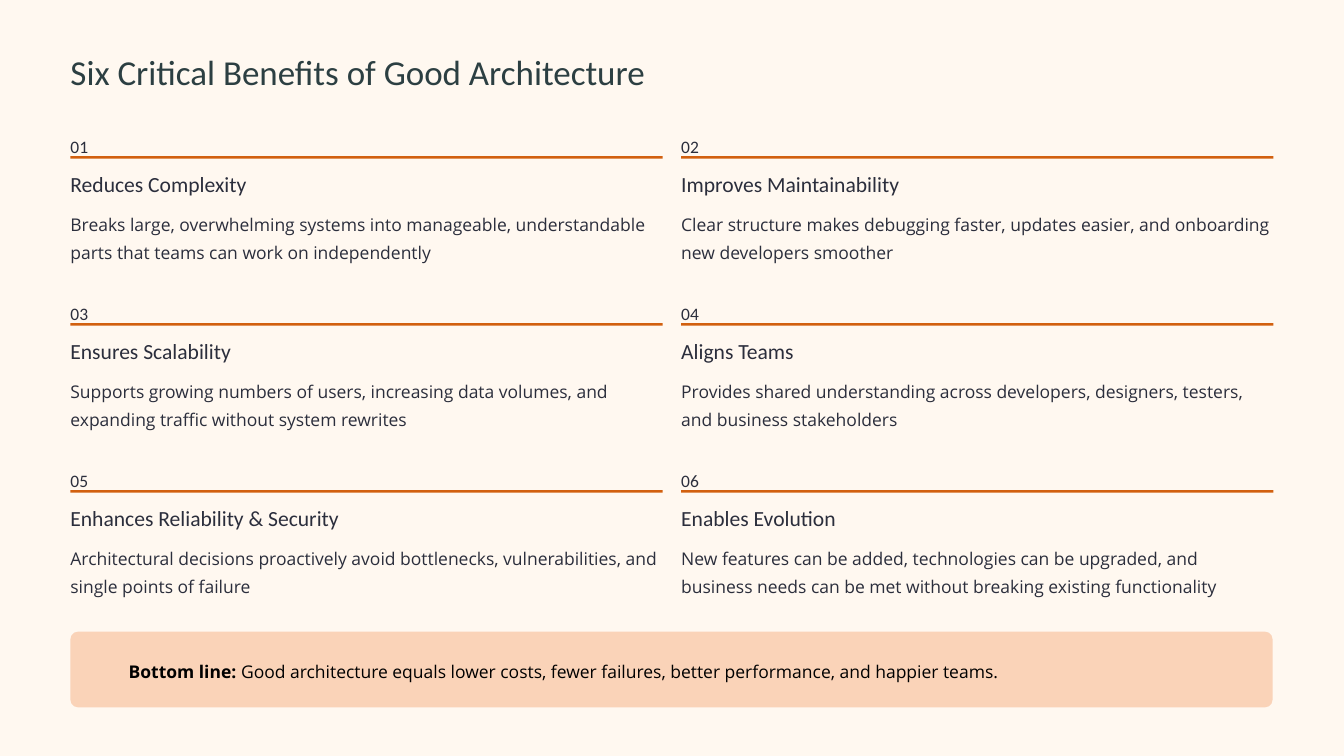
from pptx import Presentation
from pptx.dml.color import RGBColor
from pptx.enum.shapes import MSO_SHAPE as Shape
from pptx.enum.text import MSO_ANCHOR as Anchor, MSO_AUTO_SIZE as AutoSize, PP_ALIGN as Align
from pptx.util import Cm, Pt

COLORS = {"cream": "FFF8F0", "title": "2C3F42", "text": "2B2E3C",
          "rule": "D2600F", "peach": "FAD3B8", "black": "000000"}
STYLES = {
    "title": {"name": "Calibri", "size": Pt(30), "color": "title", "spacing": Pt(37.5)},
    "number": {"name": "Calibri", "size": Pt(15), "color": "text", "spacing": Pt(24)},
    "heading": {"name": "Calibri", "size": Pt(18.5), "color": "text", "spacing": Pt(23.5)},
    "detail": {"name": "Open Sans", "size": Pt(15), "color": "text", "spacing": Pt(24)},
    "summary": {"name": "Open Sans", "size": Pt(15), "color": "black", "spacing": Pt(24)},
}
BENEFITS = [
    ("Reduces Complexity", "Breaks large, overwhelming systems into manageable, "
     "understandable parts that teams can work on independently"),
    ("Improves Maintainability", "Clear structure makes debugging faster, updates easier, "
     "and onboarding new developers smoother"),
    ("Ensures Scalability", "Supports growing numbers of users, increasing data volumes, "
     "and expanding traffic without system rewrites"),
    ("Aligns Teams", "Provides shared understanding across developers, designers, testers, "
     "and business stakeholders"),
    ("Enhances Reliability & Security", "Architectural decisions proactively avoid "
     "bottlenecks, vulnerabilities, and single points of failure"),
    ("Enables Evolution", "New features can be added, technologies can be upgraded, "
     "and business needs can be met without breaking existing functionality"),
]
LEFT, TOP = 2.13, 3.89
COLUMN_WIDTH, COLUMN_STEP, ROW_STEP = 17.91, 18.47, 5.05


def write(box, style, *texts, wrap=False):
    frame = box.text_frame
    settings = {"margin_left": 0, "margin_top": 0, "margin_right": 0, "margin_bottom": 0,
                "auto_size": AutoSize.NONE, "vertical_anchor": Anchor.TOP, "word_wrap": wrap}
    for key, value in settings.items():
        setattr(frame, key, value)
    para = frame.paragraphs[0]
    para.alignment = Align.LEFT
    para.line_spacing = STYLES[style]["spacing"]
    for text, bold in texts:
        span = para.add_run()
        span.text = text
        for key, value in {"name": STYLES[style]["name"], "size": STYLES[style]["size"],
                           "bold": bold}.items():
            setattr(span.font, key, value)
        span.font.color.rgb = RGBColor.from_string(COLORS[STYLES[style]["color"]])


def add_block(kind, color, left, top, width, height):
    block = page.shapes.add_shape(kind, Cm(left), Cm(top), Cm(width), Cm(height))
    block.shadow.inherit = False
    block.fill.solid()
    block.fill.fore_color.rgb = RGBColor.from_string(COLORS[color])
    block.line.fill.background()
    return block


deck = Presentation()
deck.slide_width, deck.slide_height = Cm(40.64), Cm(22.86)
page = deck.slides.add_slide(deck.slide_layouts[5])
page.background.fill.solid()
page.background.fill.fore_color.rgb = RGBColor.from_string(COLORS["cream"])

title = page.shapes.title
for key, value in {"left": LEFT, "top": 1.48, "width": 20.35, "height": 1.35}.items():
    setattr(title, key, Cm(value))
write(title, "title", ("Six Critical Benefits of Good Architecture", False))

for index, (heading, detail) in enumerate(BENEFITS):
    row, column = divmod(index, 2)
    left = LEFT + column * COLUMN_STEP
    top = TOP + row * ROW_STEP
    add_block(Shape.RECTANGLE, "rule", left, top + 0.83, COLUMN_WIDTH, 0.08)
    for style, text, offset, width, height in [
        ("number", f"{index + 1:02}", 0, 0.53, 0.66),
        ("heading", heading, 1.24, 9.68, 0.84),
        ("detail", detail, 2.38, COLUMN_WIDTH, 1.73),
    ]:
        box = page.shapes.add_textbox(Cm(left), Cm(top + offset), Cm(width), Cm(height))
        write(box, style, (text, False), wrap=style == "detail")

panel = add_block(Shape.ROUNDED_RECTANGLE, "peach", LEFT, 19.1, 36.35, 2.29)
panel.adjustments[0] = 0.1
summary = page.shapes.add_textbox(Cm(3.89), Cm(19.79), Cm(34.09), Cm(0.86))
write(summary, "summary", ("Bottom line:", True),
      (" Good architecture equals lower costs, fewer failures, better performance, "
       "and happier teams.", False))

deck.save("out.pptx")
